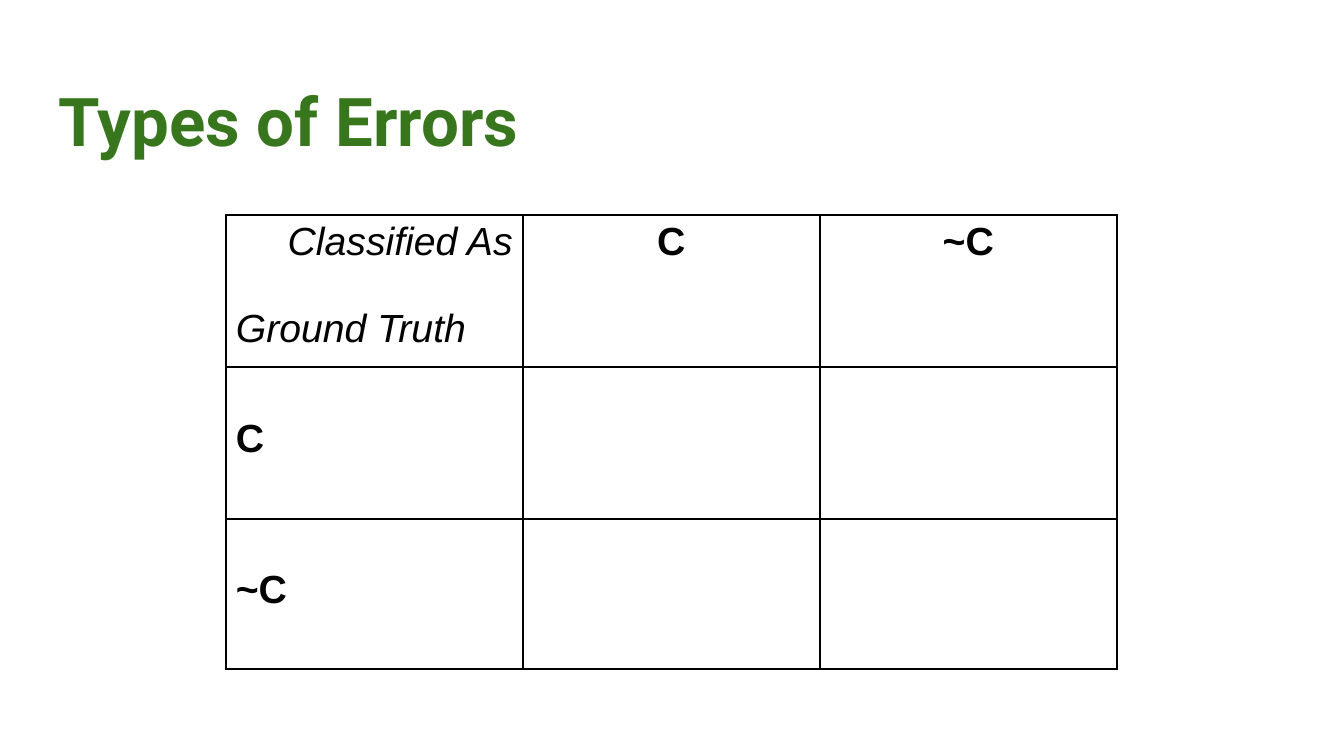
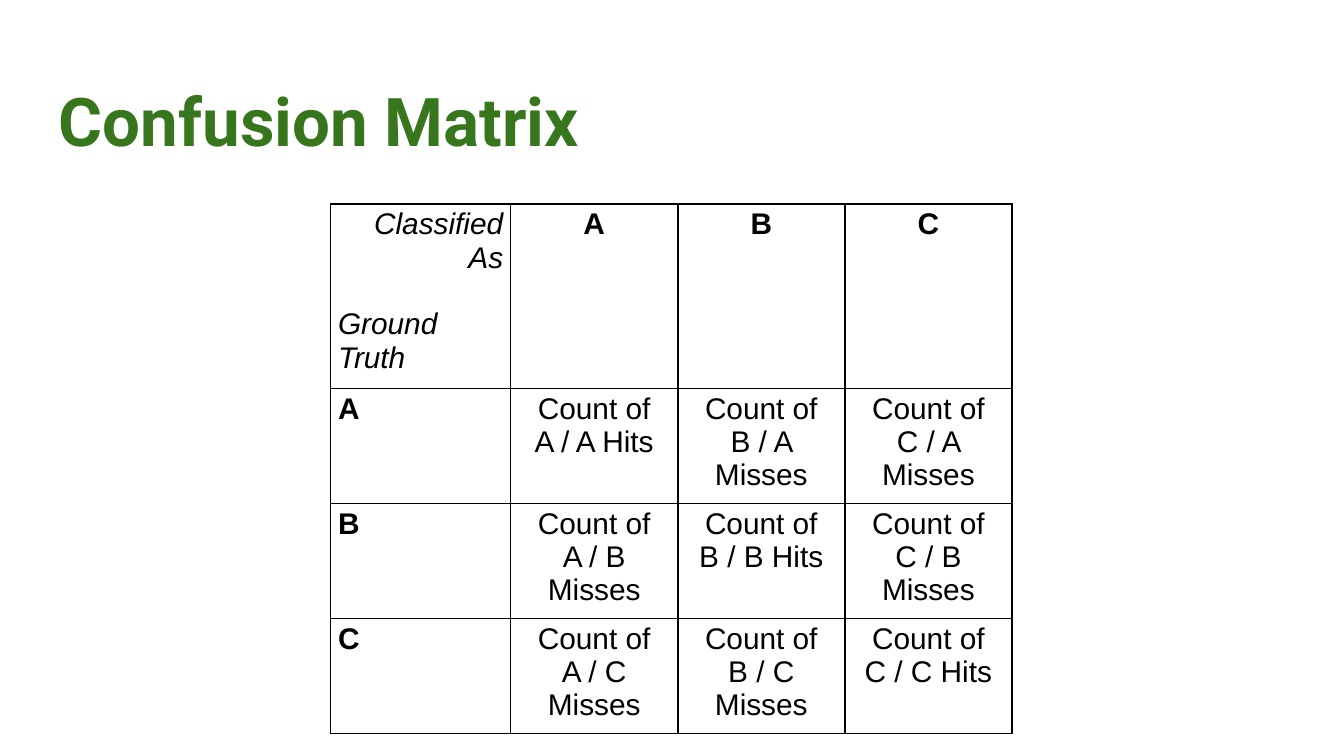
from lxml.etree import SubElement
from pptx import Presentation
from pptx.dml.color import RGBColor
from pptx.enum.text import PP_ALIGN
from pptx.oxml.ns import qn
from pptx.util import Inches, Pt

GREEN = RGBColor(0x38, 0x76, 0x1D)
BLACK = RGBColor(0x00, 0x00, 0x00)


def add_text(frame, text, size, font="Arial", color=BLACK, bold=False,
             italic=False, align=PP_ALIGN.LEFT, new_para=False, before=0):
    para = frame.add_paragraph() if new_para else frame.paragraphs[0]
    para.alignment = align
    para.line_spacing = 1.0
    para.space_before = Pt(before)
    para.space_after = Pt(0)
    span = para.add_run()
    span.text = text
    span.font.size = Pt(size)
    span.font.name = font
    span.font.color.rgb = color
    span.font.bold = bold
    span.font.italic = italic
    SubElement(para._p, qn("a:endParaRPr"), sz=str(size * 100))


def style_cell(cell, side_margin, top_margin):
    """Give a cell its margins, thin black borders and no fill."""
    cell.margin_left = cell.margin_right = Pt(side_margin)
    cell.margin_top = cell.margin_bottom = Pt(top_margin)
    properties = cell._tc.get_or_add_tcPr()
    for side in ("lnL", "lnR", "lnT", "lnB"):
        line = SubElement(properties, qn(f"a:{side}"), w=str(Pt(1)))
        fill = SubElement(line, qn("a:solidFill"))
        SubElement(fill, qn("a:srgbClr"), val=str(BLACK))
    cell.fill.background()


slides = [
    dict(title="Types of Errors", classes=["C", "~C"], counts=False,
         left=1.68, top=1.6, width=6.63, head_width=2.21,
         rows=[1.13, 1.13, 1.12], size=21, gap=23, row_head_drop=24,
         margins=(5.4, 2.7)),
    dict(title="Confusion Matrix", classes=["A", "B", "C"], counts=True,
         left=2.46, top=1.52, width=5.07, head_width=1.34,
         rows=[1.37, 0.76, 0.76, 0.64], size=16, gap=18, row_head_drop=0,
         margins=(4, 2)),
]

deck = Presentation()
deck.slide_width = Inches(10)
deck.slide_height = deck.slide_width * 9 // 16

for content in slides:
    page = deck.slides.add_slide(deck.slide_layouts[6])

    box = page.shapes.add_textbox(Inches(0.34), Inches(0.49), Inches(9.32), Inches(0.63))
    frame = box.text_frame
    frame.word_wrap = True
    frame.margin_left = frame.margin_right = Inches(0.1)
    frame.margin_top = frame.margin_bottom = Inches(0.1)
    add_text(frame, content["title"], 36, font="Roboto", color=GREEN, bold=True)

    classes, rows, size = content["classes"], content["rows"], content["size"]
    class_width = (content["width"] - content["head_width"]) / len(classes)
    columns = [content["head_width"]] + [class_width] * len(classes)
    table = page.shapes.add_table(
        len(rows), len(columns), Inches(content["left"]), Inches(content["top"]),
        Inches(content["width"]), Inches(sum(rows))).table
    table.first_row = table.horz_banding = False
    for column, width in zip(table.columns, columns):
        column.width = Inches(width)
    for row, height in zip(table.rows, rows):
        row.height = Inches(height)
    for cell in table.iter_cells():
        style_cell(cell, *content["margins"])

    corner = table.cell(0, 0).text_frame
    add_text(corner, "Classified As", size, italic=True, align=PP_ALIGN.RIGHT)
    add_text(corner, "Ground Truth", size, italic=True, new_para=True,
             before=content["gap"])

    for i, truth in enumerate(classes, start=1):
        add_text(table.cell(0, i).text_frame, truth, size, bold=True,
                 align=PP_ALIGN.CENTER)
        row_head = table.cell(i, 0)
        row_head.margin_top += Pt(content["row_head_drop"])
        add_text(row_head.text_frame, truth, size, bold=True)
        if content["counts"]:
            for j, guess in enumerate(classes, start=1):
                outcome = "Hits" if guess == truth else "Misses"
                add_text(table.cell(i, j).text_frame,
                         f"Count of {guess} / {truth} {outcome}", size,
                         align=PP_ALIGN.CENTER)

deck.save("out.pptx")
